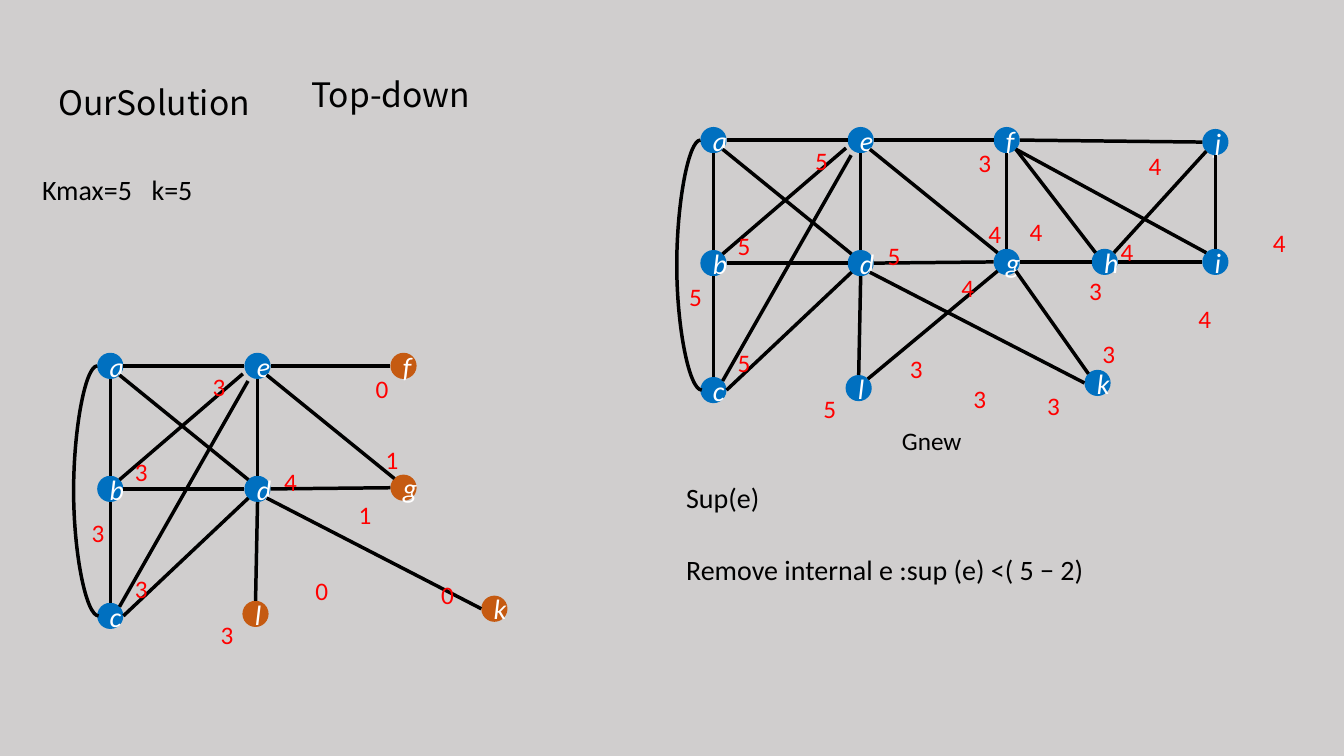
from dataclasses import dataclass

from lxml import etree
from pptx import Presentation
from pptx.dml.color import RGBColor
from pptx.enum import shapes, text
from pptx.oxml import ns
from pptx.util import Cm, Pt


@dataclass(frozen=True)
class Theme:
    background: RGBColor = RGBColor(0xD0, 0xCE, 0xCE)
    ink: RGBColor = RGBColor(0, 0, 0)
    core: RGBColor = RGBColor(0x00, 0x70, 0xC0)
    fringe: RGBColor = RGBColor(0xC5, 0x5A, 0x11)
    letter: RGBColor = RGBColor(0xFF, 0xFF, 0xFF)
    support: RGBColor = RGBColor(0xFF, 0, 0)
    body_font: str = "Calibri"
    heading_font: str = "Noto Sans CJK SC"
    heading: int = 24
    body: int = 20
    small: int = 18
    edge: float = 2.5


THEME = Theme()
RADIUS = 0.33
DIAGONAL = 0.23

# Node centres of the full graph, in cm
NODES = {
    "a": (17.98, 3.53), "b": (17.98, 6.63), "c": (17.98, 9.83),
    "d": (21.69, 6.63), "e": (21.69, 3.53), "l": (21.64, 9.78),
    "f": (25.37, 3.53), "g": (25.37, 6.6), "j": (30.63, 3.58),
    "h": (27.84, 6.6), "i": (30.63, 6.6), "k": (27.66, 9.65),
}
CORE = "abcde"
REDUCED = "abcdelfgk"
REDUCED_SHIFT = (-15.2, 5.69)

# Where an edge meets a node, relative to the node's centre
SITES = {
    "n": (0, -RADIUS), "s": (0, RADIUS), "w": (-RADIUS, 0), "e": (RADIUS, 0),
    "nw": (-DIAGONAL, -DIAGONAL), "ne": (DIAGONAL, -DIAGONAL),
    "sw": (-DIAGONAL, DIAGONAL), "se": (DIAGONAL, DIAGONAL),
    "wsw": (-0.37, 0.2), "ssw": (-0.24, 0.38),
}
EDGES = [
    ("c", "n", "b", "s"), ("b", "n", "a", "s"), ("e", "w", "a", "e"),
    ("d", "w", "b", "e"), ("d", "sw", "c", "e"), ("d", "n", "e", "s"),
    ("d", "nw", "a", "se"), ("e", "wsw", "b", "ne"), ("e", "ssw", "c", "ne"),
    ("g", "w", "d", "e"), ("f", "w", "e", "e"), ("g", "nw", "e", "se"),
    ("g", "n", "f", "s"), ("l", "n", "d", "s"), ("l", "ne", "g", "sw"),
    ("h", "nw", "f", "se"), ("h", "w", "g", "e"), ("i", "w", "h", "e"),
    ("i", "n", "j", "s"), ("j", "w", "f", "e"), ("j", "sw", "h", "ne"),
    ("i", "nw", "f", "se"), ("k", "nw", "g", "se"), ("k", "w", "d", "se"),
]

# Edge supports: value, then the left and top of each label in cm
FULL_SUPPORTS = {
    "5": [(17.12, 6.96), (18.34, 5.69), (18.34, 8.64), (20.29, 3.53),
          (22.12, 5.94), (20.5, 9.78)],
    "3": [(22.68, 8.79), (24.28, 9.53), (26.14, 9.7), (27.53, 8.41),
          (24.41, 3.58), (27.2, 6.81)],
    "4": [(23.98, 6.73), (24.66, 5.38), (28.7, 3.66), (31.83, 5.61),
          (29.95, 7.52), (27.99, 5.84), (25.7, 5.33)],
}
REDUCED_SUPPORTS = {
    "3": [(2.06, 12.9), (3.15, 11.38), (3.15, 14.33), (5.11, 9.22),
          (5.31, 15.47)],
    "4": [(6.91, 11.63)],
    "0": [(7.7, 14.38), (10.87, 14.48), (9.22, 9.27)],
    "1": [(8.79, 12.45), (9.47, 11.07)],
}


def set_font(paragraph, size, color, name=THEME.body_font):
    font = paragraph.font
    font.name, font.size, font.color.rgb = name, Pt(size), color


def add_label(slide, words, left, top, width, height, size=THEME.body,
              color=THEME.ink, font=THEME.body_font, wrap=True, tab=None):
    label = slide.shapes.add_textbox(Cm(left), Cm(top), Cm(width), Cm(height))
    label.text_frame.word_wrap = wrap
    paragraph = label.text_frame.paragraphs[0]
    paragraph.text = words
    if tab:
        stops = etree.SubElement(paragraph._p.get_or_add_pPr(), ns.qn("a:tabLst"))
        etree.SubElement(stops, ns.qn("a:tab"), pos=str(Cm(tab)), algn="l")
    set_font(paragraph, size, color, font)


def add_title(slide, words):
    title = slide.shapes.title
    title.left, title.top, title.width, title.height = (
        Cm(1.22), Cm(1.42), Cm(5.46), Cm(1.63))
    frame = title.text_frame
    frame.text = words
    frame.auto_size = text.MSO_AUTO_SIZE.NONE
    frame.word_wrap = False
    frame.vertical_anchor = text.MSO_ANCHOR.TOP
    paragraph = frame.paragraphs[0]
    paragraph.alignment = text.PP_ALIGN.LEFT
    paragraph.line_spacing = 1.5
    set_font(paragraph, THEME.heading, THEME.ink, THEME.heading_font)


def add_node(slide, letter, center, color):
    x, y = center
    node = slide.shapes.add_shape(
        shapes.MSO_SHAPE.OVAL, Cm(x - RADIUS), Cm(y - RADIUS),
        Cm(2 * RADIUS), Cm(2 * RADIUS))
    node.shadow.inherit = False
    node.fill.solid()
    node.fill.fore_color.rgb = color
    node.line.fill.background()
    paragraph = node.text_frame.paragraphs[0]
    paragraph.text = letter
    paragraph.alignment = text.PP_ALIGN.CENTER
    set_font(paragraph, THEME.body, THEME.letter)
    paragraph.font.italic = True


def add_edge(slide, start, end, kind=shapes.MSO_CONNECTOR.STRAIGHT):
    edge = slide.shapes.add_connector(kind, *(Cm(v) for v in (*start, *end)))
    edge.line.color.rgb = THEME.ink
    edge.line.width = Pt(THEME.edge)
    etree.SubElement(edge.element.spPr, ns.qn("a:effectLst"))
    return edge


def add_bow(slide, top, bottom):
    """Join two nodes in one column by a curve that bulges to the left."""
    x, y = top
    bow = add_edge(slide, top, (x + 0.035, bottom[1]), shapes.MSO_CONNECTOR.CURVE)
    properties = bow.element.spPr
    properties.find(ns.qn("a:xfrm")).set("rot", "10800000")
    geometry = properties.find(ns.qn("a:prstGeom"))
    adjustments = geometry.find(ns.qn("a:avLst"))
    etree.SubElement(adjustments, ns.qn("a:gd"), name="adj1", fmla="val 1800000")


def add_graph(slide, centers, edges, fringe, supports):
    def site(letter, side):
        return tuple(c + d for c, d in zip(centers[letter], SITES[side]))

    for letter, center in centers.items():
        add_node(slide, letter, center,
                 THEME.fringe if letter in fringe else THEME.core)
    add_bow(slide, site("a", "w"), site("c", "w"))
    for first, first_side, second, second_side in edges:
        add_edge(slide, site(first, first_side), site(second, second_side))
    for value, places in supports.items():
        for left, top in places:
            add_label(slide, value, left, top, 1.19, 1.02,
                      THEME.small, THEME.support)


def main():
    deck = Presentation()
    deck.slide_width, deck.slide_height = Cm(33.87), Cm(19.05)
    slide = deck.slides.add_slide(deck.slide_layouts.get_by_name("Title Only"))
    slide.background.fill.solid()
    slide.background.fill.fore_color.rgb = THEME.background

    add_title(slide, "OurSolution")
    add_label(slide, "Top-down", 7.59, 1.75, 4.67, 1.27, THEME.heading,
              font=THEME.heading_font, wrap=False)
    add_label(slide, "Kmax=5\tk=5", 0.81, 4.22, 4.32, 1.12, wrap=False, tab=2.76)

    add_graph(slide, NODES, EDGES, "", FULL_SUPPORTS)
    dx, dy = REDUCED_SHIFT
    reduced = {n: (NODES[n][0] + dx, NODES[n][1] + dy) for n in REDUCED}
    kept = [e for e in EDGES
            if {e[0], e[2]} <= set(REDUCED) and {e[0], e[2]} & set(CORE)]
    add_graph(slide, reduced, kept, set(REDUCED) - set(CORE), REDUCED_SUPPORTS)

    add_label(slide, "Gnew", 22.48, 10.59, 2.03, 1.02, THEME.small, wrap=False)
    add_label(slide, "Sup(e)", 17.04, 11.99, 3.38, 1.12)
    add_label(slide, "Remove internal e :sup (e) <( 5 − 2)", 17.04, 13.79, 12.9, 1.12)
    deck.save("out.pptx")


if __name__ == "__main__":
    main()
